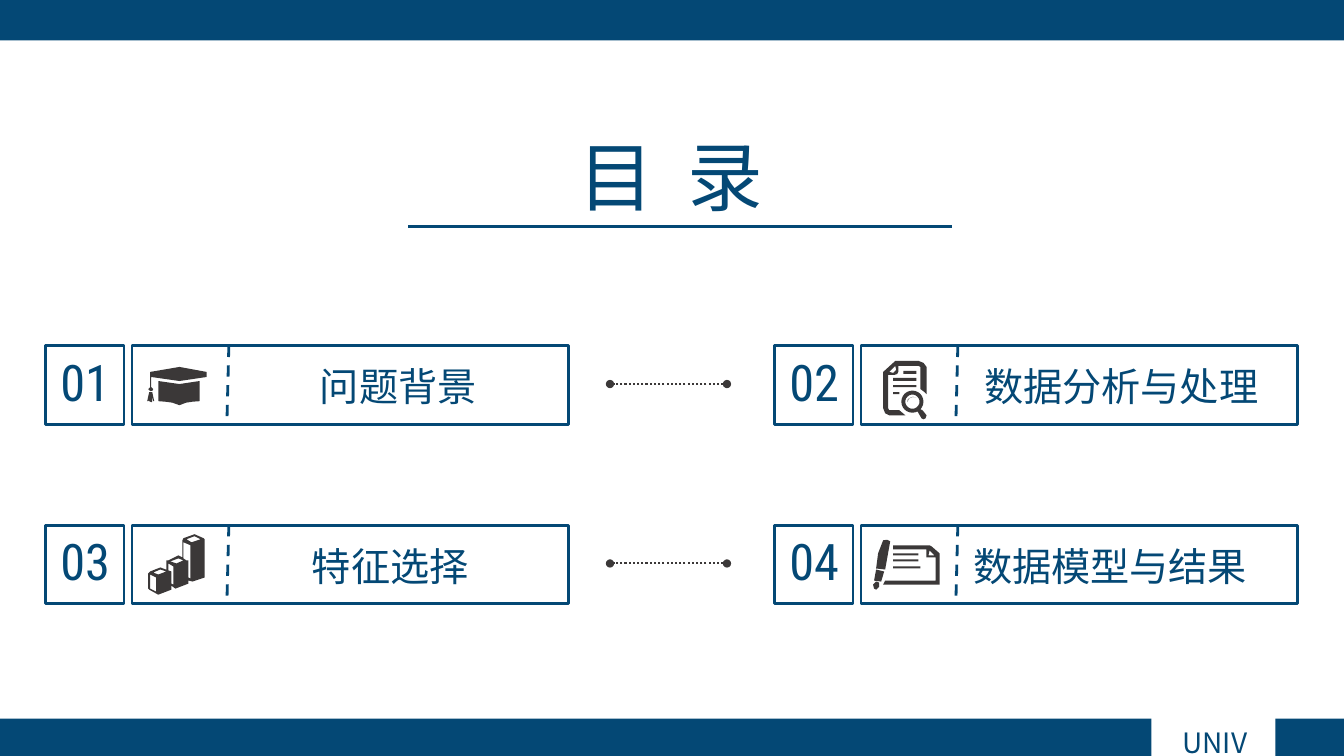
import math
import pptx
import pptx.dml.color
import pptx.enum.dml
import pptx.enum.shapes
import pptx.enum.text
import pptx.oxml
import pptx.oxml.ns
import pptx.util
from pptx.util import Inches


class Theme:
    navy = pptx.dml.color.RGBColor.from_string("044875")
    charcoal = pptx.dml.color.RGBColor.from_string("3B3838")
    chinese_font = "Noto Sans CJK SC"
    number_font = "Roboto Condensed"
    title_font = "Calibri"
    title_size, number_size, label_size, footer_size = 54, 36, 28, 20


presentation = pptx.Presentation()
presentation.slide_width = Inches(13.33)
presentation.slide_height = Inches(7.5)
slide = presentation.slides.add_slide(presentation.slide_layouts[6])
dash = pptx.enum.dml.MSO_LINE


def add_text(left, top, width, height, runs, size, font):
    """Centred text box; each run is its text and the extra spacing in points."""
    box = slide.shapes.add_textbox(Inches(left), Inches(top), Inches(width), Inches(height))
    box.text_frame.word_wrap = True
    paragraph = box.text_frame.paragraphs[0]
    paragraph.alignment = pptx.enum.text.PP_ALIGN.CENTER
    for text, spacing in runs:
        run = paragraph.add_run()
        run.text = text
        run.font.size = pptx.util.Pt(size)
        run.font.name = font
        run.font.color.rgb = Theme.navy
        properties = run._r.get_or_add_rPr()
        east_asian = pptx.oxml.parse_xml(
            f'<a:ea {pptx.oxml.ns.nsdecls("a")} typeface="{Theme.chinese_font}"/>')
        properties.append(east_asian)
        if spacing:
            properties.set("spc", str(spacing * 100))


def add_line(start, end, color, width, style=None, dotted_ends=False):
    line = slide.shapes.add_connector(
        pptx.enum.shapes.MSO_CONNECTOR.STRAIGHT, *[Inches(value) for value in start + end])
    line.line.color.rgb = color
    line.line.width = pptx.util.Pt(width)
    if style:
        line.line.dash_style = style
    namespace = pptx.oxml.ns.nsdecls("a")
    if dotted_ends:
        for end_name in ("headEnd", "tailEnd"):
            line.line._get_or_add_ln().append(
                pptx.oxml.parse_xml(f'<a:{end_name} {namespace} type="oval"/>'))
    line._element.spPr.append(pptx.oxml.parse_xml(f"<a:effectLst {namespace}/>"))


# Icon outlines, in hundredths of an inch from the icon's top left corner
cap = [
    [(11, 34), (18, 34.5), (25, 35.5), (32, 38), (38.5, 35.5), (45, 34.5), (52, 34),
     (52, 14), (32, 17), (11, 14)],
    [(59, 5), (59, 10), (32, 14), (4, 10), (4, 20), (6, 22), (5.5, 23.5), (3, 24),
     (1, 22), (3, 20), (3, 5), (32, 0)],
    [(5, 25), (2, 25), (0, 34), (1, 34), (2, 33), (2, 34), (4, 35), (5, 35),
     (5, 30), (6, 34), (7, 34)],
]
report = [
    [(12, 0), (35, 0), (40, 2), (43, 6), (43, 33), (41, 31), (37, 28), (37, 6), (35, 5),
     (15, 5), (15, 11), (14, 13), (11, 14), (5, 14), (5, 47), (6, 49), (16, 49), (22, 54),
     (6, 54), (2, 52), (0, 47), (0, 11), (11, 1)],
    [(12, 5), (6, 11), (10, 12), (13, 9)],
    [(24, 41), (25.5, 37.5), (29, 35.8), (33, 36), (28, 36), (24.5, 38)],
    [(34, 50), (38, 57), (40, 58), (42, 57), (43, 54), (39, 49), (37, 48)],
]
bars = [
    [(38, 5), (43, 8), (52, 5), (46, 2)],
    [(8, 43), (2, 40), (2, 54), (8, 57)],
    [(22, 27), (28, 29), (35, 26), (30, 24)],
    [(18, 26), (20, 26), (30, 21), (34, 23), (34, 6), (35, 4), (46, 0), (55, 4), (56, 5),
     (56, 43), (44, 47), (40, 46), (40, 49), (27, 54), (23, 51), (23, 55), (10, 60),
     (1, 55), (0, 54), (0, 39), (2, 37), (12, 33), (23, 37), (23, 49), (25, 50), (25, 32),
     (20, 29), (20, 36), (18, 35)],
    [(35, 24), (38, 26), (40, 26), (40, 43), (42, 44), (42, 11), (35, 8)],
    [(5, 38), (10, 40), (18, 37), (12, 35)],
]
contract = [
    [(10, 1), (14, 0.5), (17, 2), (12, 30), (3, 29), (5, 14)],
    [(12, 41), (10, 45), (66, 45), (66, 14), (58, 7), (56, 6), (20, 6), (20, 10),
     (53, 10), (53, 18), (62, 18), (62, 41)],
    [(61, 16), (55, 16), (56, 11)],
    [(3, 42), (6, 43), (6, 47), (3, 50), (1, 49), (0, 45)],
    [(3, 30), (1, 41), (8, 42), (11, 32)],
]

# Lines of writing on the two paper icons, and the magnifier's rim
for icon, strokes in (
        (report, [(10, 31, 16, 33), (10, 24, 33, 26), (10, 17, 33, 20), (20, 10, 33, 13)]),
        (contract, [(20, 27, 47, 29), (20, 20, 45, 22), (20, 14, 45, 16)])):
    for x1, y1, x2, y2 in strokes:
        icon.append([(x1, y1), (x2, y1), (x2, y2), (x1, y2)])
for radius in (11, 7):
    angles = [math.radians(degrees) for degrees in range(0, 360, 15)]
    report.append([(29 + radius * math.cos(a), 40.5 + radius * math.sin(a)) for a in angles])

# Agenda items: number, column, row, label, label centre, icon, icon position
columns, rows = (0.45, 7.68), (3.43, 5.21)
items = [
    ("01", 0, 0, "问题背景", 3.95, cap, (1.46, 3.64)),
    ("02", 1, 0, "数据分析与处理", 11.12, report, (8.76, 3.58)),
    ("03", 0, 1, "特征选择", 3.87, bars, (1.47, 5.3)),
    ("04", 1, 1, "数据模型与结果", 11.01, contract, (8.66, 5.35)),
]

# Header and footer bands, then the frames of the items
rectangles = [(0, -0.01, 13.33, 0.41, True), (0, 7.13, 11.42, 0.37, True),
              (12.65, 7.13, 0.68, 0.37, True)]
for left in columns:
    for top in rows:
        rectangles += [(left, top, 0.78, 0.78, False), (left + 0.86, top, 4.33, 0.78, False)]
for left, top, width, height, filled in rectangles:
    shape = slide.shapes.add_shape(
        pptx.enum.shapes.MSO_SHAPE.RECTANGLE,
        Inches(left), Inches(top), Inches(width), Inches(height))
    shape.shadow.inherit = False
    if filled:
        shape.fill.solid()
        shape.fill.fore_color.rgb = Theme.navy
        shape.line.fill.background()
    else:
        shape.fill.background()
        shape.line.color.rgb = Theme.navy
        shape.line.width = pptx.util.Pt(2)

# Item contents
for number, column, row, label, label_center, icon, (icon_left, icon_top) in items:
    left, top = columns[column], rows[row]
    add_line((left + 1.82, top), (left + 1.8, top + 0.78), Theme.navy, 2, dash.DASH)
    add_text(left - 0.11, top, 1.01, 0.71, [(number, 0)], Theme.number_size, Theme.number_font)
    add_text(label_center - 1.55, top + 0.12, 3.1, 0.57, [(label, 0)],
             Theme.label_size, Theme.chinese_font)
    builder = None
    for outline in icon:
        points = [(x * 10, y * 10) for x, y in outline]
        if builder is None:
            builder = slide.shapes.build_freeform(*points[0], scale=Inches(1) / 1000)
        else:
            builder.move_to(*points[0])
        builder.add_line_segments(points[1:], close=True)
    shape = builder.convert_to_shape(Inches(icon_left), Inches(icon_top))
    shape.shadow.inherit = False
    shape.fill.solid()
    shape.fill.fore_color.rgb = Theme.charcoal
    shape.line.fill.background()

# Dotted links between the columns
for top in rows:
    add_line((7.21, top + 0.38), (6.05, top + 0.38), Theme.charcoal, 1.5,
             dash.ROUND_DOT, dotted_ends=True)

# Title and footer name
add_text(3, 1.24, 7.31, 1.01, [("目", 0), (" ", 12), ("录", 0)],
         Theme.title_size, Theme.title_font)
add_line((4.05, 2.25), (9.44, 2.25), Theme.navy, 2)
add_text(11.23, 7.15, 1.64, 0.44, [("UNIV", 0)], Theme.footer_size, Theme.chinese_font)

presentation.save("out.pptx")
